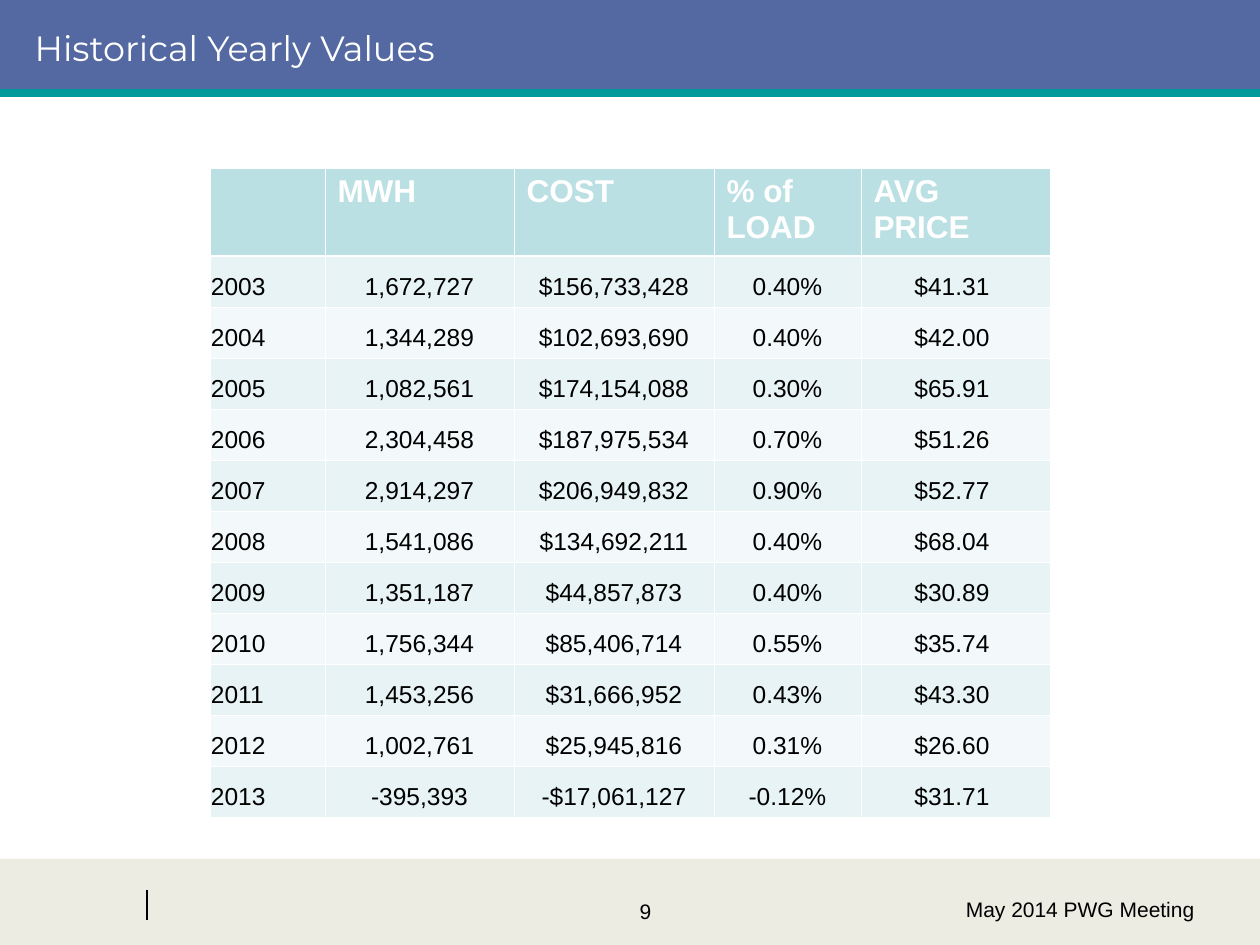
from lxml.etree import SubElement
from pptx import Presentation
from pptx.dml.color import RGBColor
from pptx.enum.shapes import MSO_CONNECTOR as Connector, MSO_SHAPE as Shape
from pptx.enum.text import MSO_ANCHOR as Anchor, MSO_AUTO_SIZE as AutoSize, PP_ALIGN as Align
from pptx.oxml.ns import qn
from pptx.util import Emu, Pt

COLORS = {
    "white": "FFFFFF", "black": "000000", "banner": "5469A2", "teal": "009999",
    "footer": "ECECE2", "header": "BBE0E3", "odd": "E7F3F4", "even": "F3F9FA",
}
WIDTH, HEIGHT = 1260, 945
BANNER_HEIGHT = 94
FOOTER_TOP = 859

COLUMN_WIDTHS = [115, 189, 200, 147, 189]
HEADER_HEIGHT, ROW_HEIGHT = 88, 51
HEADINGS = ["", "MWH", "COST", "% of LOAD", "AVG PRICE"]
YEARLY_VALUES = [
    ["2003", "1,672,727", "$156,733,428", "0.40%", "$41.31 "],
    ["2004", "1,344,289", "$102,693,690", "0.40%", "$42.00 "],
    ["2005", "1,082,561", "$174,154,088", "0.30%", "$65.91 "],
    ["2006", "2,304,458", "$187,975,534", "0.70%", "$51.26 "],
    ["2007", "2,914,297", "$206,949,832", "0.90%", "$52.77 "],
    ["2008", "1,541,086", "$134,692,211", "0.40%", "$68.04 "],
    ["2009", "1,351,187", "$44,857,873", "0.40%", "$30.89 "],
    ["2010", "1,756,344", "$85,406,714", "0.55%", "$35.74 "],
    ["2011", "1,453,256", "$31,666,952", "0.43%", "$43.30 "],
    ["2012", "1,002,761", "$25,945,816", "0.31%", "$26.60 "],
    ["2013", "-395,393", "-$17,061,127", "-0.12%", "$31.71 "],
]


def px(length):
    """Turn slide pixels (126 to the inch) into EMU."""
    return Emu(round(length * 914400 / 126))


def color(name):
    return RGBColor.from_string(COLORS[name])


class SlideBuilder:
    """Holds the text style and the slide being built."""

    font = "Arial"

    def __init__(self, slide):
        self.slide = slide
        self.shapes = slide.shapes

    def add_text(self, paragraph, text, size, ink="black", font=None, bold=False, align=Align.LEFT):
        paragraph.alignment = align
        run = paragraph.add_run()
        run.text = text
        run.font.name = font or self.font
        run.font.size = Pt(size)
        run.font.bold = bold
        run.font.color.rgb = color(ink)

    def band(self, top, height, fill):
        """Add a full-width rectangle."""
        shape = self.shapes.add_shape(Shape.RECTANGLE, 0, px(top), px(WIDTH), px(height))
        shape.shadow.inherit = False
        shape.fill.solid()
        shape.fill.fore_color.rgb = color(fill)
        shape.line.fill.background()

    def line(self, start, end, ink, weight):
        connector = self.shapes.add_connector(Connector.STRAIGHT, *map(px, start + end))
        connector.line.color.rgb = color(ink)
        connector.line.width = Pt(weight)
        SubElement(connector._element.spPr, qn("a:effectLst"))

    def title(self, text, left, top, width, height):
        """Fill the title placeholder and bring it in front of the banner."""
        title = self.shapes.title
        title.left, title.top, title.width, title.height = map(px, (left, top, width, height))
        title.text_frame.auto_size = AutoSize.NONE
        title.text_frame.vertical_anchor = Anchor.MIDDLE
        self.add_text(title.text_frame.paragraphs[0], text, 20, "white", "Montserrat")
        self.shapes._spTree.append(title._element)

    def text(self, text, left, top, width, height, align):
        frame = self.shapes.add_textbox(*map(px, (left, top, width, height))).text_frame
        frame.word_wrap = True
        self.add_text(frame.paragraphs[0], text, 12, align=align)

    def borders(self, cell, top=0.45, bottom=0.45):
        properties = cell._tc.get_or_add_tcPr()
        weights = {"a:lnL": 0.45, "a:lnR": 0.45, "a:lnT": top, "a:lnB": bottom}
        for side, weight in weights.items():
            border = SubElement(properties, qn(side), w=str(Pt(weight)))
            fill = SubElement(border, qn("a:solidFill"))
            SubElement(fill, qn("a:srgbClr"), val=COLORS["white"])

    def header_cell(self, cell, text):
        self.borders(cell, bottom=1.47)
        cell.fill.solid()
        cell.fill.fore_color.rgb = color("header")
        if text:
            self.add_text(cell.text_frame.paragraphs[0], text, 18, "white", bold=True)

    def value_cell(self, cell, text, row, column):
        self.borders(cell, top=1.47 if row == 1 else 0.45)
        cell.fill.solid()
        cell.fill.fore_color.rgb = color("odd" if row % 2 else "even")
        cell.vertical_anchor = Anchor.BOTTOM
        cell.margin_left = cell.margin_right = px(1)
        align = Align.CENTER if column else Align.LEFT
        self.add_text(cell.text_frame.paragraphs[0], text, 14, align=align)

    def table(self, left, top):
        heights = [HEADER_HEIGHT] + [ROW_HEIGHT] * len(YEARLY_VALUES)
        frame = self.shapes.add_table(
            len(heights), len(COLUMN_WIDTHS),
            px(left), px(top), px(sum(COLUMN_WIDTHS)), px(sum(heights)))
        table = frame.table
        table.horz_banding = False
        for column, width in zip(table.columns, COLUMN_WIDTHS):
            column.width = px(width)
        for row, height in zip(table.rows, heights):
            row.height = px(height)
        for column, heading in enumerate(HEADINGS):
            self.header_cell(table.cell(0, column), heading)
        for row, values in enumerate(YEARLY_VALUES, start=1):
            for column, value in enumerate(values):
                self.value_cell(table.cell(row, column), value, row, column)


def main():
    presentation = Presentation()
    presentation.slide_width, presentation.slide_height = px(WIDTH), px(HEIGHT)
    title_only = presentation.slide_layouts[5]
    builder = SlideBuilder(presentation.slides.add_slide(title_only))

    builder.band(FOOTER_TOP, HEIGHT - FOOTER_TOP, "footer")
    builder.band(0, BANNER_HEIGHT, "banner")
    builder.line((147, 890), (147, 920), "black", 0.75)
    builder.line((0, 93), (WIDTH, 93), "teal", 4.5)
    builder.text("9", 472, 892, 347, 63, Align.CENTER)
    builder.title("Historical Yearly Values", 22, 0, 1197, BANNER_HEIGHT)
    builder.text("May 2014 PWG Meeting", 860, 890, 347, 63, Align.RIGHT)
    builder.table(210, 168)

    presentation.save("out.pptx")


if __name__ == "__main__":
    main()
